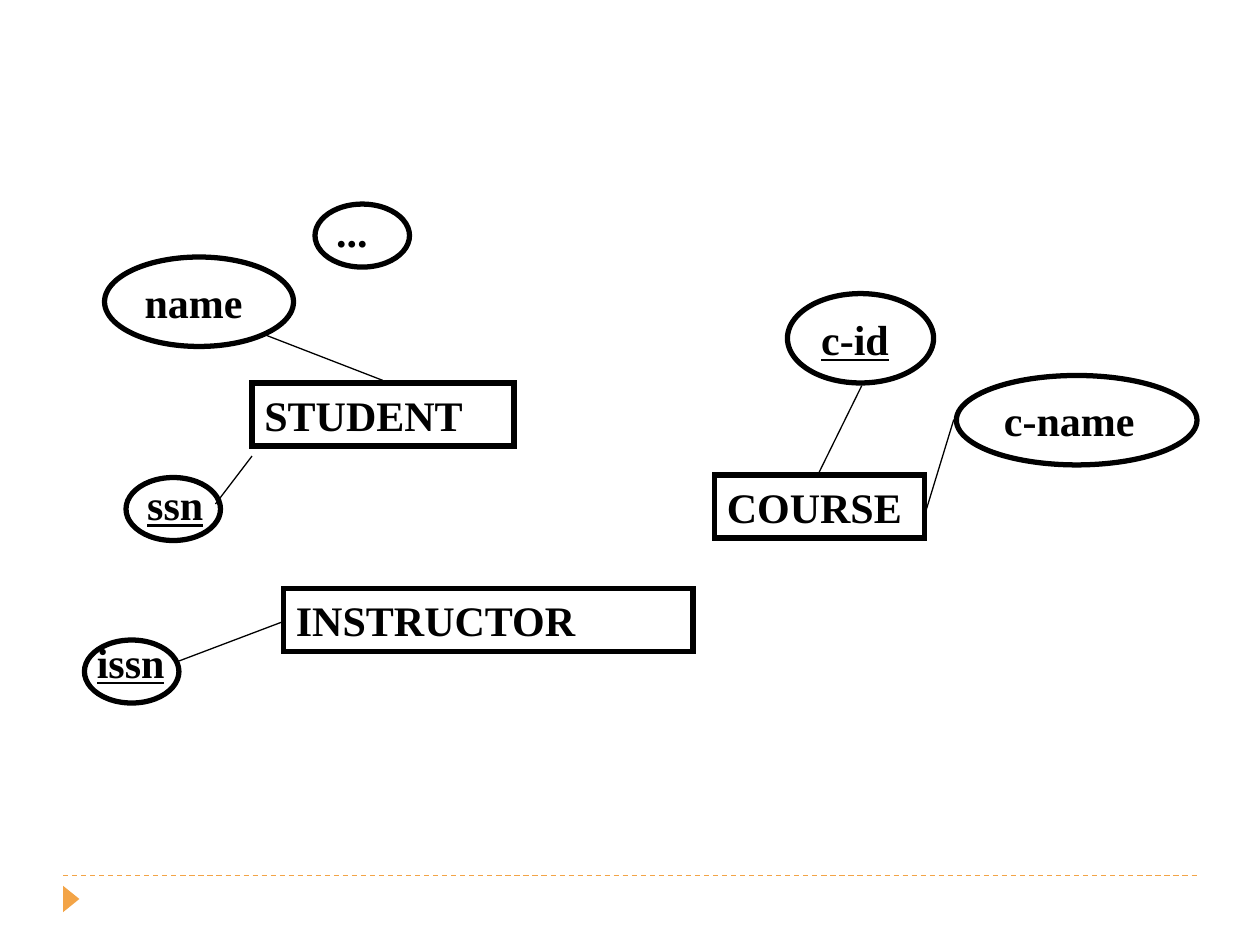
from lxml.etree import SubElement
from pptx import Presentation
from pptx.dml.color import RGBColor
from pptx.enum.dml import MSO_LINE
from pptx.enum.shapes import MSO_CONNECTOR, MSO_SHAPE
from pptx.enum.text import MSO_ANCHOR, PP_ALIGN
from pptx.oxml.ns import qn
from pptx.util import Inches, Pt

COLORS = {"ink": "000000", "accent": "F3A447"}
FONT = "Times New Roman"

ENTITIES = [
    ("STUDENT", 2, 3.04, 2.08),
    ("COURSE", 5.67, 3.77, 1.67),
    ("INSTRUCTOR", 2.25, 4.67, 3.25),
]
# text, left, top, width, is key
WIDE_ATTRIBUTES = [
    ("name", 0.83, 2.04, 1.5, False),
    ("c-id", 6.25, 2.33, 1.16, True),
    ("c-name", 7.59, 2.98, 1.91, False),
]
# text, oval left and top, label left, top and width, is key
SMALL_ATTRIBUTES = [
    ("ssn", 1, 3.79, 1.07, 3.75, 0.7, True),
    ("...", 2.5, 1.62, 2.57, 1.58, 0.5, False),
    ("issn", 0.67, 5.08, 0.67, 5, 0.8, True),
]
LINKS = [
    (1.71, 4, 2, 3.62),
    (2.11, 2.66, 3.04, 3.02),
    (6.84, 3.06, 6.5, 3.75),
    (7.57, 3.33, 7.35, 4.05),
    (1.41, 5.25, 2.23, 4.94),
]


def color(name):
    return RGBColor.from_string(COLORS[name])


def write(sp, text, key=False, wrap=True):
    """Put bold text in a shape; key attributes are underlined."""
    tf = sp.text_frame
    tf.word_wrap = wrap
    tf.vertical_anchor = MSO_ANCHOR.MIDDLE
    p = tf.paragraphs[0]
    p.text = text
    p.alignment = PP_ALIGN.LEFT
    font = p.runs[0].font
    font.name, font.size, font.bold = FONT, Pt(24), True
    font.color.rgb = color("ink")
    if key:
        font.underline = True


def add_outline(s, kind, left, top, width, height):
    """Add an unfilled shape with a heavy, square-cornered border."""
    sp = s.shapes.add_shape(kind, Inches(left), Inches(top), Inches(width), Inches(height))
    sp.shadow.inherit = False
    sp.fill.background()
    sp.line.color.rgb = color("ink")
    sp.line.width = Pt(3)
    SubElement(sp.line._get_or_add_ln(), qn("a:miter"), lim="800000")
    return sp


def add_label(s, text, left, top, width, key):
    box = s.shapes.add_textbox(Inches(left), Inches(top), Inches(width), Inches(0.5))
    write(box, text, key, wrap=False)


def add_line(s, x1, y1, x2, y2, name="ink"):
    line = s.shapes.add_connector(
        MSO_CONNECTOR.STRAIGHT, Inches(x1), Inches(y1), Inches(x2), Inches(y2))
    line.line.color.rgb = color(name)
    line.line.width = Pt(0.75)
    SubElement(line._element.spPr, qn("a:effectLst"))
    return line


def add_footer(s):
    add_line(s, 0.5, 6.95, 9.5, 6.95, "accent").line.dash_style = MSO_LINE.DASH
    sp = s.shapes.add_shape(
        MSO_SHAPE.ISOSCELES_TRIANGLE, Inches(0.46), Inches(7.07), Inches(0.21), Inches(0.13))
    sp.rotation = 90
    sp.shadow.inherit = False
    sp.fill.solid()
    sp.fill.fore_color.rgb = color("accent")
    sp.line.fill.background()


def main():
    prs = Presentation()
    prs.slide_width, prs.slide_height = Inches(10), Inches(7.5)
    s = prs.slides.add_slide(prs.slide_layouts[6])
    add_footer(s)
    for text, left, top, width in ENTITIES:
        write(add_outline(s, MSO_SHAPE.RECTANGLE, left, top, width, 0.5), text)
    for text, left, top, width, key in WIDE_ATTRIBUTES:
        write(add_outline(s, MSO_SHAPE.OVAL, left, top, width, 0.71), text, key)
    for text, left, top, *label, key in SMALL_ATTRIBUTES:
        add_outline(s, MSO_SHAPE.OVAL, left, top, 0.75, 0.5)
        add_label(s, text, *label, key)
    for link in LINKS:
        add_line(s, *link)
    prs.save("out.pptx")


if __name__ == "__main__":
    main()
